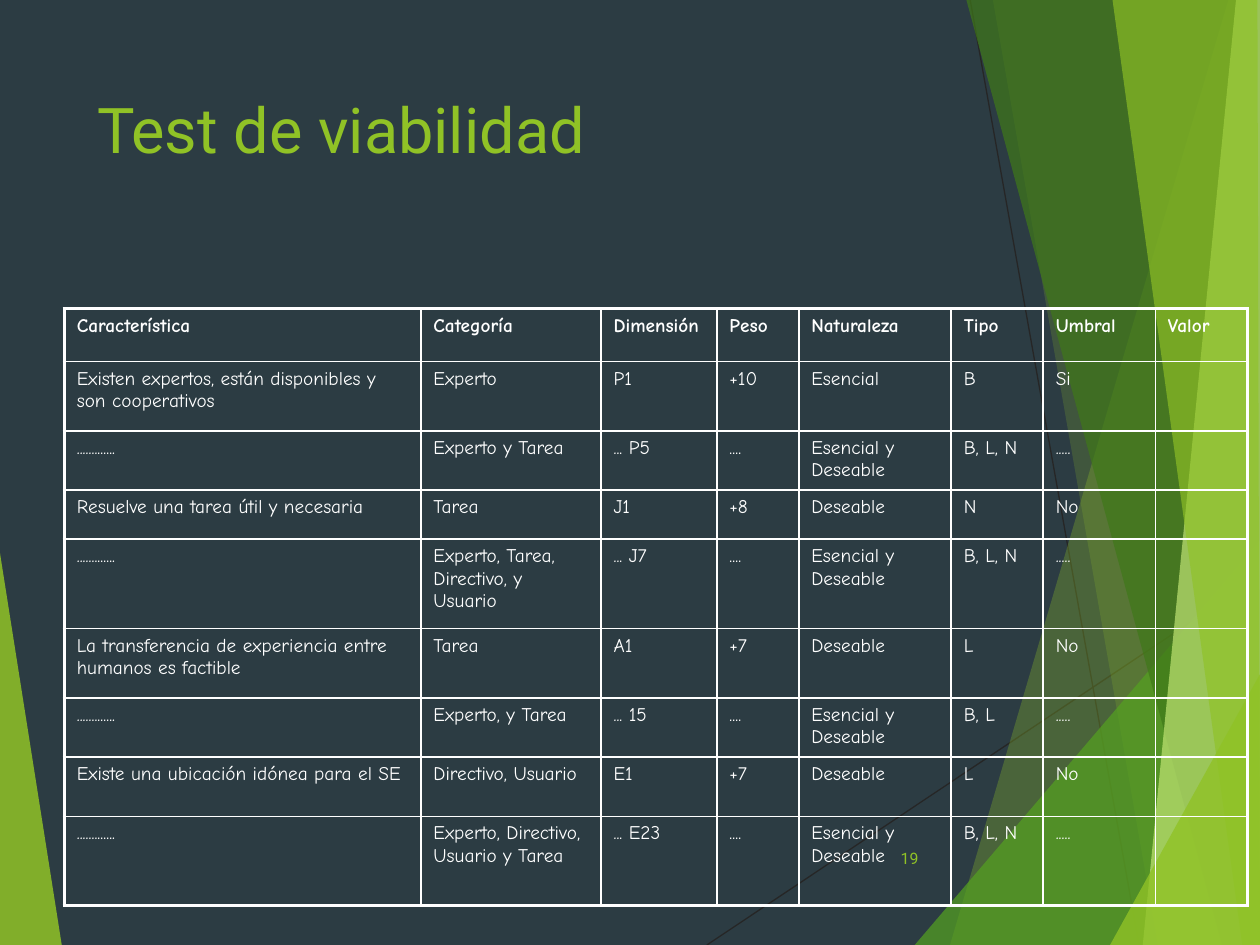
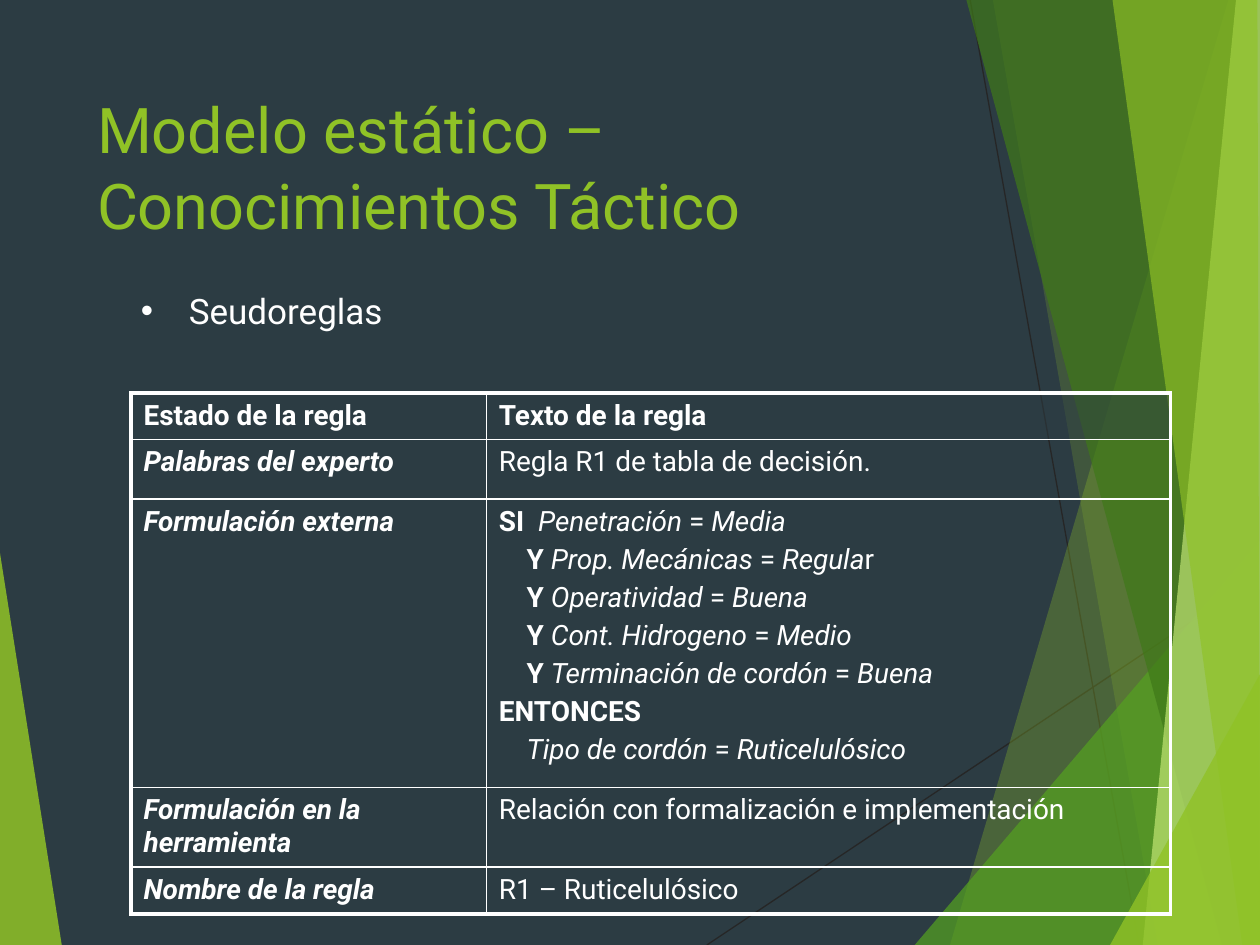
from lxml.etree import SubElement
from pptx import Presentation
from pptx.dml.color import RGBColor
from pptx.enum.shapes import MSO_CONNECTOR
from pptx.enum.text import MSO_ANCHOR, MSO_AUTO_SIZE, PP_ALIGN
from pptx.oxml import parse_xml
from pptx.oxml.ns import nsdecls, qn
from pptx.util import Pt

PX = 9144  # 100 px to the inch
SLATE = RGBColor(0x2C, 0x3C, 0x43)
LIME = RGBColor(0x90, 0xC2, 0x26)
GREEN = RGBColor(0x54, 0xA0, 0x21)
FOREST = RGBColor(0x3F, 0x78, 0x19)
PALE_LIME = RGBColor(0xC0, 0xE4, 0x74)
CHARCOAL = RGBColor(0x26, 0x26, 0x26)
WHITE = RGBColor(0xFF, 0xFF, 0xFF)
BODY_FONT = "Roboto"
TABLE_FONT = "Comic Neue"

RAYS = [((561, 750), (1000, 457)), ((770, 0), (904, 750))]
FACETS = [  # outline, colour, opacity in percent
    ([(0, 439), (49, 750), (0, 750)], LIME, 85),
    ([(975, 0), (754, 750), (1000, 750), (1000, 0)], LIME, 30),
    ([(788, 0), (919, 750), (1000, 750), (1000, 0)], LIME, 20),
    ([(726, 750), (1000, 429), (1000, 750)], GREEN, 72),
    ([(767, 0), (970, 750), (1000, 750), (1000, 0)], FOREST, 70),
    ([(981, 0), (907, 750), (1000, 750), (1000, 0)], PALE_LIME, 70),
    ([(883, 0), (986, 750), (1000, 750), (998, 0)], LIME, 65),
    ([(881, 750), (1000, 535), (1000, 750)], LIME, 80),
]

TEST_WIDTHS = [283, 143, 92, 65, 121, 73, 89, 73]
TEST_HEIGHTS = [42, 55, 47, 39, 71, 55, 47, 47, 71]
TEST_ROWS = [
    ["Característica", "Categoría", "Dimensión", "Peso", "Naturaleza", "Tipo", "Umbral", "Valor"],
    ["Existen expertos, están disponibles y son cooperativos", "Experto", "P1", "+10",
     "Esencial", "B", "Si", ""],
    [".............", "Experto y Tarea", "... P5", "....", "Esencial y Deseable",
     "B, L, N", ".....", ""],
    ["Resuelve una tarea útil y necesaria", "Tarea", "J1", "+8", "Deseable", "N", "No", ""],
    [".............", "Experto, Tarea, Directivo, y Usuario", "... J7", "....",
     "Esencial y Deseable", "B, L, N", ".....", ""],
    ["La transferencia de experiencia entre humanos es factible", "Tarea", "A1", "+7",
     "Deseable", "L", "No", ""],
    [".............", "Experto, y Tarea", "... 15", "....", "Esencial y Deseable",
     "B, L", ".....", ""],
    ["Existe una ubicación idónea para el SE", "Directivo, Usuario", "E1", "+7",
     "Deseable", "L", "No", ""],
    [".............", "Experto, Directivo, Usuario y Tarea", "... E23", "....",
     "Esencial y Deseable", "B, L, N", ".....", ""],
]

RULE_WIDTHS = [282, 543]
RULE_HEIGHTS = [37, 47, 229, 63, 37]
RULE_ROWS = [
    ["Estado de la regla", "Texto de la regla"],
    ["Palabras del experto", "Regla R1 de tabla de decisión."],
    ["Formulación externa", ""],
    ["Formulación en la herramienta", "Relación con formalización e implementación"],
    ["Nombre de la regla", "R1 – Ruticelulósico"],
]
# Each line is a list of (text, style) runs: b bold, i italic, - plain
EQUALS = (" = ", "-")
RULE_LINES = [
    [("SI  ", "b"), ("Penetración", "i"), EQUALS, ("Media", "i")],
    [("Y ", "b"), ("Prop. Mecánicas", "i"), EQUALS, ("Regula", "i"), ("r", "-")],
    [("Y ", "b"), ("Operatividad", "i"), EQUALS, ("Buena", "i")],
    [("Y ", "b"), ("Cont. Hidrogeno", "i"), EQUALS, ("Medio", "i")],
    [("Y ", "b"), ("Terminación de cordón", "i"), EQUALS, ("Buena", "i")],
    [("ENTONCES", "b")],
    [("Tipo de cordón", "i"), EQUALS, ("Ruticelulósico", "i")],
]


def set_font(paragraph, name, size, color):
    font = paragraph.font
    font.name, font.size = name, Pt(size)
    font.color.rgb = color
    return font


def add_ruled_table(slide, left, top, widths, heights, rows, font_name, size):
    """Add an unfilled table with thin inner rules, a thick frame and a bold header."""
    table = slide.shapes.add_table(
        len(rows), len(widths), left * PX, top * PX, sum(widths) * PX, sum(heights) * PX).table
    table.first_row = table.horz_banding = False
    for column, width in zip(table.columns, widths):
        column.width = width * PX
    for row, height in zip(table.rows, heights):
        row.height = height * PX
    last_row, last_column = len(rows) - 1, len(widths) - 1
    for y, texts in enumerate(rows):
        for x, text in enumerate(texts):
            cell = table.cell(y, x)
            cell.text = text
            cell.fill.background()
            set_font(cell.text_frame.paragraphs[0], font_name, size, WHITE).bold = y == 0
            properties = cell._tc.get_or_add_tcPr()
            on_frame = {"lnL": x == 0, "lnR": x == last_column,
                        "lnT": y == 0, "lnB": y == last_row}
            for position, (side, thick) in enumerate(on_frame.items()):
                properties.insert(position, parse_xml(
                    f'<a:{side} w="{Pt(2.25 if thick else 1)}" {nsdecls("a")}><a:solidFill>'
                    f'<a:srgbClr val="{WHITE}"/></a:solidFill></a:{side}>'))
    return table


presentation = Presentation()
presentation.slide_width, presentation.slide_height = 1000 * PX, 750 * PX
layout = presentation.slide_layouts.get_by_name("Title Only")
test_slide = presentation.slides.add_slide(layout)
rule_slide = presentation.slides.add_slide(layout)

# Shared backdrop: drawn once, then moved into the layout
layout.background.fill.solid()
layout.background.fill.fore_color.rgb = SLATE
backdrop = []
for (x1, y1), (x2, y2) in RAYS:
    ray = test_slide.shapes.add_connector(
        MSO_CONNECTOR.STRAIGHT, x1 * PX, y1 * PX, x2 * PX, y2 * PX)
    ray.line.color.rgb = CHARCOAL
    ray.line.width = Pt(0.75)
    SubElement(ray.element.spPr, qn("a:effectLst"))
    backdrop.append(ray)
for outline, color, opacity in FACETS:
    builder = test_slide.shapes.build_freeform(*outline[0], scale=PX)
    builder.add_line_segments(outline[1:], close=True)
    facet = builder.convert_to_shape()
    facet.shadow.inherit = False
    facet.line.fill.background()
    facet.fill.solid()
    facet.fill.fore_color.rgb = color
    fill_color = facet.element.spPr.find(".//" + qn("a:srgbClr"))
    SubElement(fill_color, qn("a:alpha"), val=str(opacity * 1000))
    backdrop.append(facet)
for shape in backdrop:
    layout.shapes.element.append(shape.element)

# Titles
for slide, text in [(test_slide, "Test de viabilidad"),
                    (rule_slide, "Modelo estático – Conocimientos Táctico")]:
    title = slide.shapes.title
    title.left, title.top, title.width, title.height = 67 * PX, 67 * PX, 694 * PX, 144 * PX
    title.text_frame.text = text
    title.text_frame.word_wrap = True
    title.text_frame.auto_size = MSO_AUTO_SIZE.NONE
    title.text_frame.vertical_anchor = MSO_ANCHOR.TOP
    paragraph = title.text_frame.paragraphs[0]
    paragraph.alignment = PP_ALIGN.LEFT
    set_font(paragraph, BODY_FONT, 36, LIME)

# Viability test
page_number = test_slide.shapes.add_textbox(705 * PX, 661 * PX, 56 * PX, 40 * PX)
page_number.text_frame.text = "19"
page_number.text_frame.word_wrap = True
page_number.text_frame.vertical_anchor = MSO_ANCHOR.MIDDLE
set_font(page_number.text_frame.paragraphs[0], BODY_FONT, 9, LIME)
add_ruled_table(test_slide, 51, 245, TEST_WIDTHS, TEST_HEIGHTS, TEST_ROWS, TABLE_FONT, 11)

# Pseudo-rules
subject = rule_slide.shapes.add_textbox(102 * PX, 225 * PX, 817 * PX, 67 * PX)
subject.text_frame.text = "Seudoreglas"
subject.text_frame.word_wrap = True
paragraph = subject.text_frame.paragraphs[0]
properties = paragraph._p.get_or_add_pPr()
properties.set("marL", str(38 * PX))
properties.set("indent", str(-38 * PX))
bullet_color = SubElement(properties, qn("a:buClr"))
SubElement(bullet_color, qn("a:srgbClr"), val=str(WHITE))
SubElement(properties, qn("a:buFont"), typeface="Arial")
SubElement(properties, qn("a:buChar"), char="•")
set_font(paragraph, BODY_FONT, 20, WHITE)

rule_table = add_ruled_table(
    rule_slide, 104, 312, RULE_WIDTHS, RULE_HEIGHTS, RULE_ROWS, BODY_FONT, 16)
for cell in rule_table.rows[0].cells:
    cell.fill.solid()
    cell.fill.fore_color.rgb = SLATE
    fill_color = cell._tc.tcPr.find(qn("a:solidFill")).find(qn("a:srgbClr"))
    SubElement(fill_color, qn("a:alpha"), val="50000")
for y in range(1, len(RULE_ROWS)):
    font = rule_table.cell(y, 0).text_frame.paragraphs[0].font
    font.bold = font.italic = True

rule_frame = rule_table.cell(2, 1).text_frame
for number, runs in enumerate(RULE_LINES):
    paragraph = rule_frame.add_paragraph() if number else rule_frame.paragraphs[0]
    paragraph.alignment = PP_ALIGN.JUSTIFY
    if number:
        paragraph.space_before = Pt(3.2)
    if runs[0][0] not in ("SI  ", "ENTONCES"):
        paragraph._p.get_or_add_pPr().set("marL", str(22 * PX))
    set_font(paragraph, BODY_FONT, 16, WHITE)
    for text, style in runs:
        run = paragraph.add_run()
        run.text = text
        run.font.bold = style == "b"
        run.font.italic = style == "i"

presentation.save("out.pptx")
